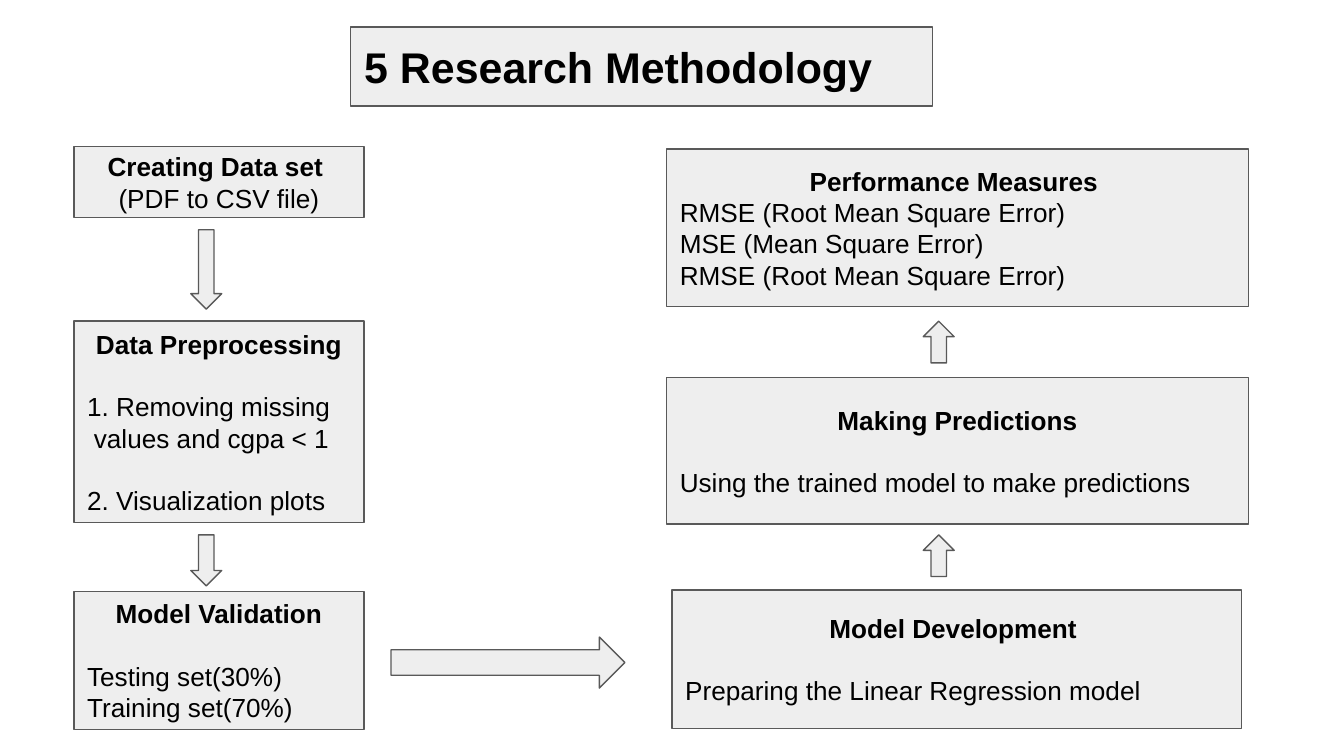
from dataclasses import dataclass

from pptx import Presentation
from pptx.dml.color import RGBColor
from pptx.enum.shapes import MSO_SHAPE as Shape
from pptx.enum.text import MSO_ANCHOR as Anchor, MSO_AUTO_SIZE as AutoSize, PP_ALIGN as Align
from pptx.util import Inches, Pt

# The slide is a grid of square cells
CELL = Inches(0.1)
COLUMNS, ROWS = 100, 56.25
COLORS = {"fill": "EEEEEE", "line": "595959", "text": "000000"}
FONT = "Arial"
BODY_SIZE, TITLE_SIZE = 14, 23
LINE_GAP = Pt(16.7)
HANG = Inches(0.05)


@dataclass(frozen=True)
class Area:
    col: float
    row: float
    cols: float
    rows: float

    def lengths(self) -> tuple[int, ...]:
        return tuple(int(n * CELL) for n in (self.col, self.row, self.cols, self.rows))


@dataclass(frozen=True)
class Line:
    text: str
    centered: bool = False
    gap: bool = False
    hanging: bool = False


@dataclass(frozen=True)
class Step:
    area: Area
    heading: str
    lines: tuple[Line, ...]


@dataclass(frozen=True)
class Arrow:
    kind: Shape
    area: Area


LEFT_COL, LEFT_COLS = 5.5, 21.6
RIGHT_COL, RIGHT_COLS = 49.6, 43.3
DOWN_COL, UP_COL, ARROW_COLS = 14.2, 68.7, 2.3

TITLE_AREA = Area(26.1, 2, RIGHT_COLS, 5.9)

STEPS = (
    Step(Area(LEFT_COL, 10.9, LEFT_COLS, 5.3), "Creating Data set ",
         (Line("(PDF to CSV file)", centered=True),)),
    Step(Area(LEFT_COL, 23.9, LEFT_COLS, 15), "Data Preprocessing",
         (Line("1. Removing missing values and cgpa < 1", gap=True, hanging=True),
          Line("2. Visualization plots", gap=True))),
    Step(Area(LEFT_COL, 44, LEFT_COLS, 10.3), "Model Validation",
         (Line("Testing set(30%)", gap=True), Line("Training set(70%)"))),
    Step(Area(50, 43.9, 42.4, 10.3), "Model Development ",
         (Line("Preparing the Linear Regression model", gap=True),)),
    Step(Area(RIGHT_COL, 28.1, RIGHT_COLS, 10.9), "Making Predictions",
         (Line("Using the trained model to make predictions", gap=True),)),
    Step(Area(RIGHT_COL, 11.1, RIGHT_COLS, 11.7), "Performance Measures ",
         (Line("RMSE (Root Mean Square Error)"),
          Line("MSE (Mean Square Error)"),
          Line("RMSE (Root Mean Square Error)"))),
)

ARROWS = (
    Arrow(Shape.DOWN_ARROW, Area(DOWN_COL, 17.1, ARROW_COLS, 5.9)),
    Arrow(Shape.DOWN_ARROW, Area(DOWN_COL, 39.8, ARROW_COLS, 3.8)),
    Arrow(Shape.RIGHT_ARROW, Area(29.1, 47.4, 17.4, 3.8)),
    Arrow(Shape.UP_ARROW, Area(UP_COL, 39.8, ARROW_COLS, 3.1)),
    Arrow(Shape.UP_ARROW, Area(UP_COL, 23.9, ARROW_COLS, 3.1)),
)


def color(name: str) -> RGBColor:
    return RGBColor.from_string(COLORS[name])


def paint(shape) -> None:
    shape.fill.solid()
    shape.fill.fore_color.rgb = color("fill")
    shape.line.color.rgb = color("line")
    shape.line.width = Pt(0.75)


def prepare_frame(shape):
    frame = shape.text_frame
    frame.word_wrap = True
    frame.auto_size = AutoSize.NONE
    frame.vertical_anchor = Anchor.MIDDLE
    frame.margin_left = frame.margin_right = CELL
    frame.margin_top = frame.margin_bottom = CELL
    return frame


def write(paragraph, text: str, size: float, bold: bool, align: Align) -> None:
    paragraph.text = text
    paragraph.alignment = align
    paragraph.font.name = FONT
    paragraph.font.size = Pt(size)
    paragraph.font.bold = bold
    paragraph.font.color.rgb = color("text")


def draw_title(slide, text: str, area: Area) -> None:
    title = slide.shapes.title
    title.left, title.top, title.width, title.height = area.lengths()
    paint(title)
    write(prepare_frame(title).paragraphs[0], text, TITLE_SIZE, True, Align.LEFT)


def draw_shape(slide, kind: Shape, area: Area):
    shape = slide.shapes.add_shape(kind, *area.lengths())
    shape.shadow.inherit = False
    paint(shape)
    return shape


def draw_step(slide, step: Step) -> None:
    frame = prepare_frame(draw_shape(slide, Shape.RECTANGLE, step.area))
    write(frame.paragraphs[0], step.heading, BODY_SIZE, True, Align.CENTER)
    for line in step.lines:
        paragraph = frame.add_paragraph()
        align = Align.CENTER if line.centered else Align.LEFT
        write(paragraph, line.text, BODY_SIZE, False, align)
        if line.gap:
            paragraph.space_before = LINE_GAP
        if line.hanging:
            properties = paragraph._p.get_or_add_pPr()
            properties.set("marL", str(HANG))
            properties.set("indent", str(-HANG))


def main() -> None:
    deck = Presentation()
    deck.slide_width, deck.slide_height = int(COLUMNS * CELL), int(ROWS * CELL)
    slide = deck.slides.add_slide(deck.slide_layouts.get_by_name("Title Only"))

    # Heading
    draw_title(slide, "5 Research Methodology", TITLE_AREA)

    # Steps of the method, then the arrows between them
    for step in STEPS:
        draw_step(slide, step)
    for arrow in ARROWS:
        draw_shape(slide, arrow.kind, arrow.area)

    deck.save("out.pptx")


if __name__ == "__main__":
    main()
